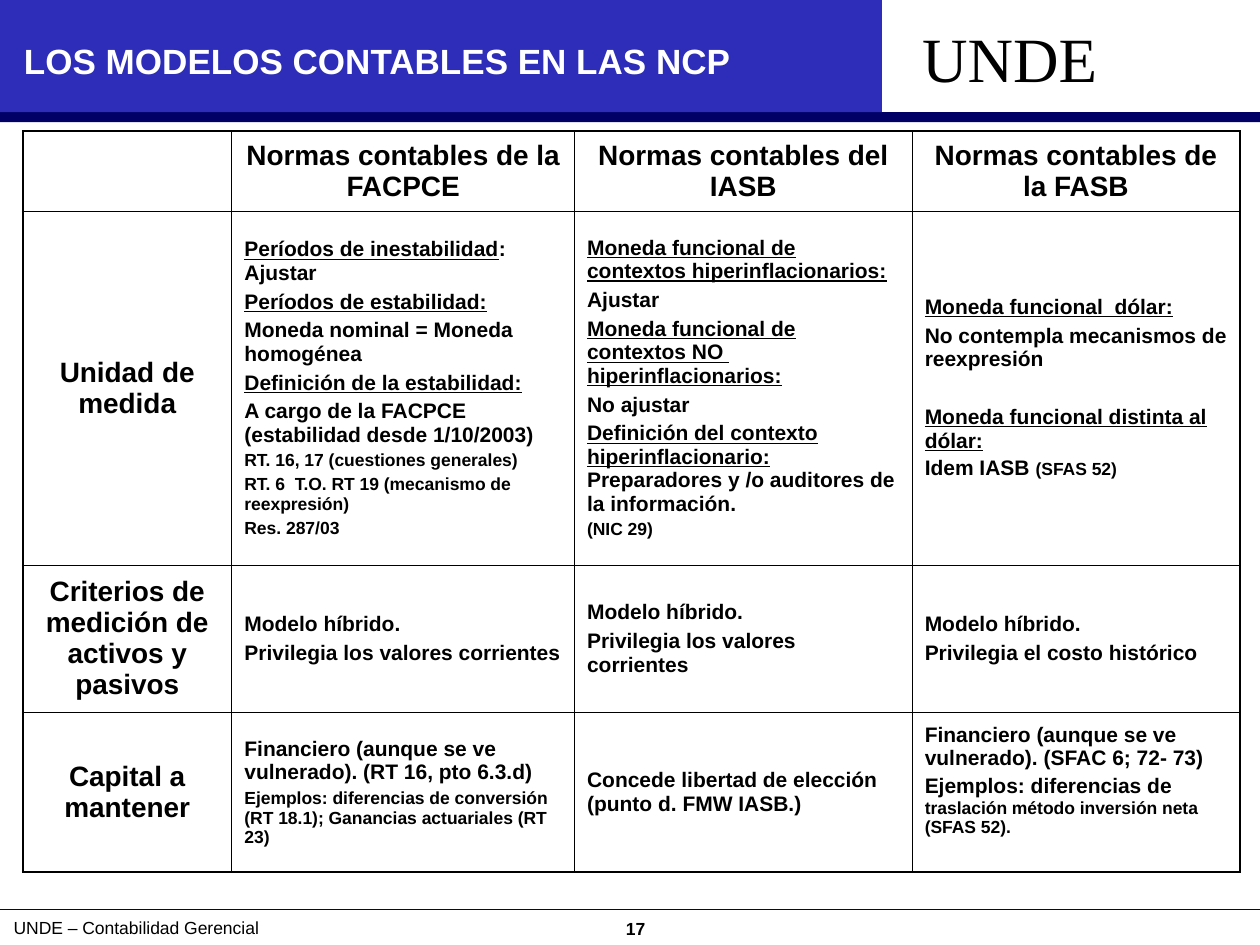
"""Builds the slide comparing accounting models across three sets of standards."""
from typing import NamedTuple

from lxml.etree import SubElement
from pptx import Presentation
from pptx.dml.color import RGBColor
from pptx.enum.shapes import MSO_CONNECTOR, MSO_SHAPE
from pptx.enum.text import MSO_ANCHOR, MSO_AUTO_SIZE, PP_ALIGN
from pptx.oxml.ns import qn
from pptx.util import Inches, Pt

BLACK = RGBColor(0x00, 0x00, 0x00)
WHITE = RGBColor(0xFF, 0xFF, 0xFF)
NAVY = RGBColor(0x00, 0x00, 0x66)
BLUE = RGBColor(0x2D, 0x2D, 0xB9)
COLUMN_WIDTHS = (1.66, 2.72, 2.68, 2.6)
ROW_HEIGHTS = (0.63, 2.81, 1.17, 1.27)
OUTER_LINE, INNER_LINE = Pt(1.08), Pt(0.45)


class Box(NamedTuple):
    left: float
    top: float
    width: float
    height: float

    def lengths(self) -> list:
        return [Inches(value) for value in self]


class Piece(NamedTuple):
    text: str
    size: float = 12
    bold: bool = True
    underline: bool = False
    color: RGBColor = BLACK
    font: str = "Arial"


class Line(NamedTuple):
    pieces: tuple
    before: float = 3
    align: PP_ALIGN = PP_ALIGN.LEFT


class Entry(NamedTuple):
    lines: tuple
    bottom_margin: float = 0.05


def body(text: str) -> Line:
    return Line((Piece(text),))


def topic(text: str, rest: str = "", before: float = 3) -> Line:
    heading = Piece(text, underline=True)
    return Line((heading, Piece(rest)) if rest else (heading,), before)


def detail(text: str) -> Line:
    return Line((Piece(text, 10),), 2.5)


def label(text: str) -> Entry:
    return Entry((Line((Piece(text, 16),), 4, PP_ALIGN.CENTER),))


ENTRIES = (
    (
        Entry(()),
        label("Normas contables de la FACPCE"),
        label("Normas contables del IASB"),
        label("Normas contables de la FASB"),
    ),
    (
        label("Unidad de medida"),
        Entry((
            topic("Períodos de inestabilidad", ": Ajustar"),
            topic("Períodos de estabilidad:"),
            body("Moneda nominal = Moneda homogénea"),
            topic("Definición de la estabilidad:"),
            body("A cargo de la FACPCE (estabilidad desde 1/10/2003)"),
            detail("RT. 16, 17 (cuestiones generales)"),
            detail("RT. 6  T.O. RT 19 (mecanismo de reexpresión)"),
            detail("Res. 287/03"),
        )),
        Entry((
            topic("Moneda funcional de contextos hiperinflacionarios:"),
            body("Ajustar"),
            topic("Moneda funcional de contextos NO  hiperinflacionarios:"),
            body("No ajustar"),
            topic("Definición del contexto hiperinflacionario:",
                  " Preparadores y /o auditores de la información."),
            detail("(NIC 29)"),
        )),
        Entry((
            topic("Moneda funcional  dólar:"),
            body("No contempla mecanismos de reexpresión"),
            topic("Moneda funcional distinta al dólar:", before=19.5),
            Line((Piece("Idem IASB "), Piece("(SFAS 52)", 10)), 2.5),
        )),
    ),
    (
        label("Criterios de medición de activos y pasivos"),
        Entry((body("Modelo híbrido."), body("Privilegia los valores corrientes"))),
        Entry((body("Modelo híbrido."), body("Privilegia los valores corrientes"))),
        Entry((body("Modelo híbrido."), body("Privilegia el costo histórico"))),
    ),
    (
        label("Capital a mantener"),
        Entry((
            body("Financiero (aunque se ve vulnerado). (RT 16, pto 6.3.d)"),
            detail("Ejemplos: diferencias de conversión (RT 18.1); "
                   "Ganancias actuariales (RT 23)"),
        )),
        Entry((body("Concede libertad de elección (punto d. FMW IASB.)"),)),
        Entry((
            body("Financiero (aunque se ve vulnerado). (SFAC 6; 72- 73)"),
            Line((Piece("Ejemplos: diferencias de "),
                  Piece("traslación método inversión neta (SFAS 52).", 10)), 2.5),
        ), bottom_margin=0.24),
    ),
)


def write_lines(frame, lines: tuple) -> None:
    for index, line in enumerate(lines):
        paragraph = frame.add_paragraph() if index else frame.paragraphs[0]
        paragraph.alignment = line.align
        paragraph.space_before = Pt(line.before)
        for piece in line.pieces:
            run = paragraph.add_run()
            run.text = piece.text
            run.font.name = piece.font
            run.font.size = Pt(piece.size)
            run.font.bold = piece.bold
            run.font.underline = piece.underline
            run.font.color.rgb = piece.color


def add_bar(slide, box: Box, color: RGBColor) -> None:
    bar = slide.shapes.add_shape(MSO_SHAPE.RECTANGLE, *box.lengths())
    bar.shadow.inherit = False
    bar.fill.solid()
    bar.fill.fore_color.rgb = color
    bar.line.fill.background()


def add_rule(slide, top: float) -> None:
    rule = slide.shapes.add_connector(
        MSO_CONNECTOR.STRAIGHT, Inches(0), Inches(top), Inches(10), Inches(top))
    rule.line.color.rgb = NAVY
    rule.line.width = Pt(0.75)
    SubElement(rule._element.spPr, qn("a:effectLst"))


def add_text(slide, box: Box, piece: Piece, align: PP_ALIGN = PP_ALIGN.LEFT) -> None:
    frame = slide.shapes.add_textbox(*box.lengths()).text_frame
    frame.word_wrap = True
    write_lines(frame, (Line((piece,), 0, align),))


def set_title(slide, box: Box, piece: Piece) -> None:
    title = slide.shapes.title
    title.left, title.top, title.width, title.height = box.lengths()
    frame = title.text_frame
    frame.auto_size = MSO_AUTO_SIZE.NONE
    frame.vertical_anchor = MSO_ANCHOR.TOP
    write_lines(frame, (Line((piece,), 0),))


def set_borders(cell, outer_sides: dict) -> None:
    properties = cell._tc.get_or_add_tcPr()
    for side, is_outer in outer_sides.items():
        width = OUTER_LINE if is_outer else INNER_LINE
        border = SubElement(properties, qn(f"a:ln{side}"), w=str(int(width)))
        fill = SubElement(border, qn("a:solidFill"))
        SubElement(fill, qn("a:srgbClr"), val=str(BLACK))


def add_comparison(slide, box: Box) -> None:
    last_row, last_column = len(ROW_HEIGHTS) - 1, len(COLUMN_WIDTHS) - 1
    table = slide.shapes.add_table(
        len(ROW_HEIGHTS), len(COLUMN_WIDTHS), *box.lengths()).table
    table.first_row = table.horz_banding = False
    for column, width in zip(table.columns, COLUMN_WIDTHS):
        column.width = Inches(width)
    for row, height in zip(table.rows, ROW_HEIGHTS):
        row.height = Inches(height)
    for r, entries in enumerate(ENTRIES):
        for c, entry in enumerate(entries):
            cell = table.cell(r, c)
            set_borders(cell, {"L": c == 0, "R": c == last_column,
                               "T": r == 0, "B": r == last_row})
            cell.fill.background()
            cell.vertical_anchor = MSO_ANCHOR.MIDDLE
            cell.margin_bottom = Inches(entry.bottom_margin)
            write_lines(cell.text_frame, entry.lines)


def main() -> None:
    deck = Presentation()
    deck.slide_width, deck.slide_height = Inches(10), Inches(7.5)
    slide = deck.slides.add_slide(deck.slide_layouts[5])
    add_bar(slide, Box(0, 0.89, 10, 0.08), NAVY)
    add_bar(slide, Box(0, 0, 7, 0.89), BLUE)
    title = slide.shapes.title._element
    title.getparent().append(title)
    set_title(slide, Box(0.09, 0.26, 6.48, 0.44),
              Piece("LOS MODELOS CONTABLES EN LAS NCP", 20, color=WHITE))
    add_text(slide, Box(7.22, 0.11, 1.6, 0.7),
             Piece("UNDE", 36, bold=False, font="Times New Roman"))
    add_comparison(slide, Box(0.18, 1.04, sum(COLUMN_WIDTHS), sum(ROW_HEIGHTS)))
    add_rule(slide, 7.22)
    add_text(slide, Box(0.01, 7.23, 4.08, 0.27),
             Piece("UNDE – Contabilidad Gerencial", 10, bold=False))
    add_text(slide, Box(0.07, 7.24, 9.95, 0.27), Piece("17", 10), PP_ALIGN.CENTER)
    deck.save("out.pptx")


if __name__ == "__main__":
    main()
